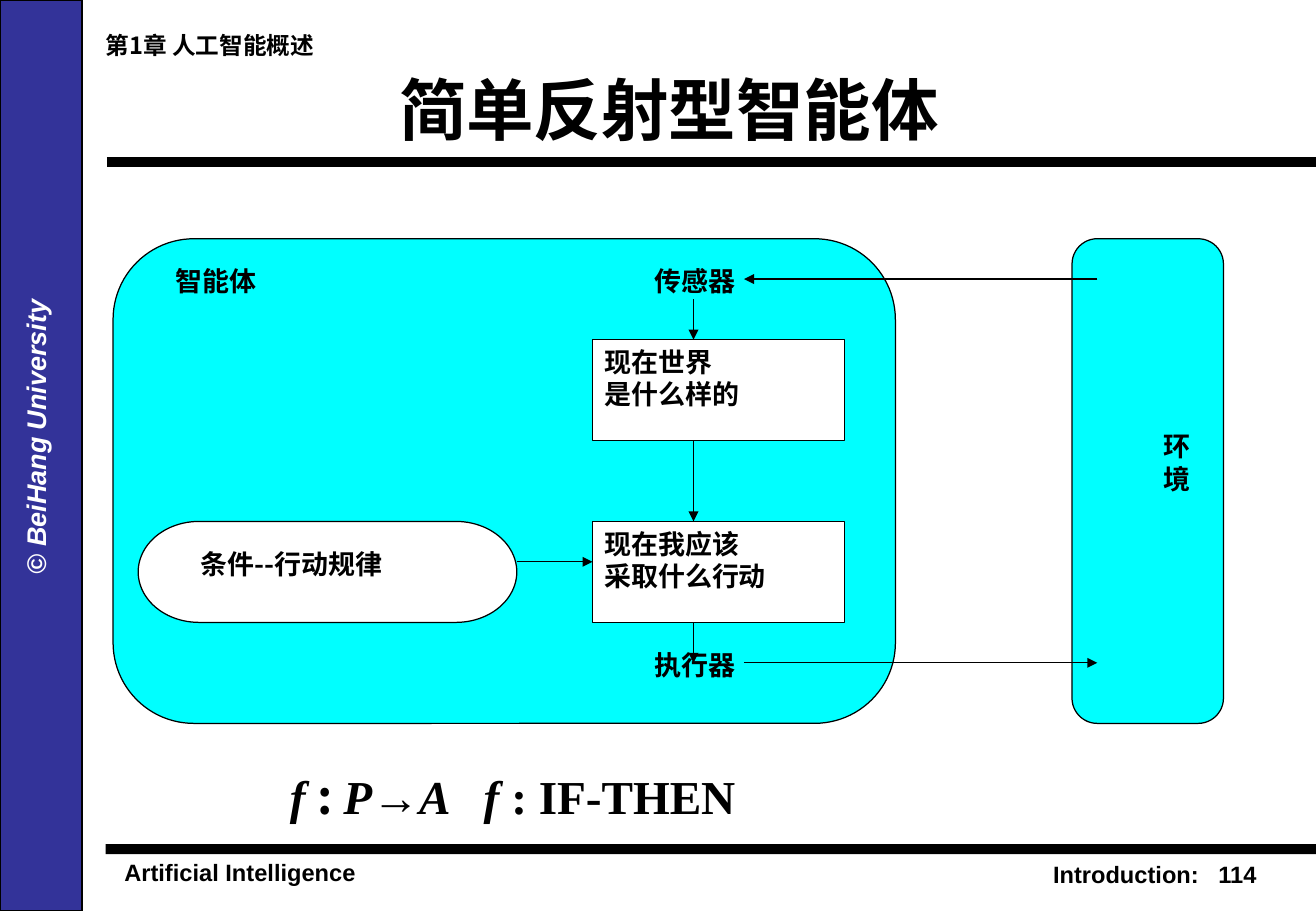
from pptx import Presentation
from pptx.dml.color import RGBColor
from pptx.enum.shapes import MSO_CONNECTOR, MSO_SHAPE
from pptx.enum.text import MSO_ANCHOR, PP_ALIGN
from pptx.oxml.ns import qn
from pptx.util import Pt
from lxml import etree

COLORS = {"ink": "000000", "paper": "FFFFFF", "band": "333399", "panel": "00FFFF"}
SANS, CJK, SERIF = "Arial", "Noto Sans CJK SC", "Times New Roman"
RECTANGLE, ROUNDED = MSO_SHAPE.RECTANGLE, MSO_SHAPE.ROUNDED_RECTANGLE
TERMINATOR, STRAIGHT = MSO_SHAPE.FLOWCHART_TERMINATOR, MSO_CONNECTOR.STRAIGHT
LEFT, CENTER, JUSTIFY = PP_ALIGN.LEFT, PP_ALIGN.CENTER, PP_ALIGN.JUSTIFY
TOP, MIDDLE = MSO_ANCHOR.TOP, MSO_ANCHOR.MIDDLE
COLUMNS, ROWS = 44, 24


def rgb(name):
    return RGBColor.from_string(COLORS[name])


def style_paragraph(paragraph, size, font_name, color="ink", align=LEFT, italic=False):
    paragraph.alignment = align
    font = paragraph.font
    font.size, font.bold, font.italic = Pt(size), True, italic
    font.name = font_name
    font.color.rgb = rgb(color)
    properties = paragraph._p.pPr.find(qn("a:defRPr"))
    etree.SubElement(properties, qn("a:ea")).set("typeface", CJK)


def add_label(slide, box, text, size, font_name, anchor=TOP, wrap=True, tab=None, **style):
    label = slide.shapes.add_textbox(*map(Pt, box))
    frame = label.text_frame
    frame.word_wrap = wrap
    frame.vertical_anchor = anchor
    paragraph = frame.paragraphs[0]
    paragraph.text = text
    if tab:
        stops = etree.SubElement(paragraph._p.get_or_add_pPr(), qn("a:tabLst"))
        etree.SubElement(stops, qn("a:tab"), pos=str(Pt(tab)), algn="l")
    style_paragraph(paragraph, size, font_name, **style)
    return label


def add_box(slide, kind, box, fill, line=None, width=0.75):
    shape = slide.shapes.add_shape(kind, *map(Pt, box))
    shape.shadow.inherit = False
    shape.fill.solid()
    shape.fill.fore_color.rgb = rgb(fill)
    if line:
        shape.line.color.rgb = rgb(line)
        shape.line.width = Pt(width)
    else:
        shape.line.fill.background()
    return shape


def add_line(slide, start, end, width=0.75, arrow=False):
    connector = slide.shapes.add_connector(STRAIGHT, *map(Pt, (*start, *end)))
    connector.line.color.rgb = rgb("ink")
    connector.line.width = Pt(width)
    if arrow:
        etree.SubElement(connector.line._get_or_add_ln(), qn("a:tailEnd"), type="triangle")
    etree.SubElement(connector._element.spPr, qn("a:effectLst"))


def add_side_band(slide, box):
    left, top, width, height = box
    add_box(slide, RECTANGLE, box, "band", "ink", 1)
    length, depth = 517, 27
    label_box = (left + width / 2 - length / 2 - 3, top + height / 2 - depth / 2 - 11, length, depth)
    label = add_label(slide, label_box, "© BeiHang University", 16, SANS,
                      color="paper", align=CENTER, italic=True)
    label.rotation = 270


def add_header(slide, box):
    left, top, width, height = box
    add_line(slide, (left, top + height), (left + width, top + height), 6)
    add_label(slide, (left + 1.5, top + 33, 663, 63), "简单反射型智能体", 40, CJK,
              anchor=MIDDLE, align=CENTER)
    add_label(slide, (left - 63.4, top + 15, 249, 24.5), "第1章 人工智能概述", 14, CJK, align=CENTER)


def add_footer(slide, box):
    left, top, width, height = box
    add_box(slide, RECTANGLE, (left, top, width, 6), "ink")
    add_label(slide, (left + 4, top + 4.5, 156, 24), "Artificial Intelligence", 14, SANS, wrap=False)
    add_label(slide, (left + 554.5, top + 6, 150, 24), "Introduction:\t114", 14, SANS, tab=98)


def add_agent_diagram(slide, box):
    left, top, width, height = box
    column, row = width / COLUMNS, height / ROWS

    def point(x, y):
        return left + x * column, top + y * row

    nodes = [
        (ROUNDED, (0, 0, 31, 24), "panel", "ink", []),
        (ROUNDED, (38, 0, 6, 24), "panel", "ink", []),
        (RECTANGLE, (2, 1, 6, 3), "panel", "panel", ["智能体"]),
        (RECTANGLE, (21, 1, 6, 3), "panel", "panel", ["传感器"]),
        (RECTANGLE, (19, 5, 10, 5), "paper", "ink", ["现在世界", "是什么样的"]),
        (RECTANGLE, (39, 9, 4, 6), "panel", "panel", ["环 境"]),
        (RECTANGLE, (19, 14, 10, 5), "paper", "ink", ["现在我应该", "采取什么行动"]),
        (RECTANGLE, (21, 20, 6, 3), "panel", "panel", ["执行器"]),
        (TERMINATOR, (1, 14, 15, 5), "paper", "ink", []),
        (RECTANGLE, (3, 15, 11, 3), "paper", "paper", ["条件--行动规律"]),
    ]
    for kind, (x, y, across, down), fill, line, texts in nodes:
        shape = add_box(slide, kind, (*point(x, y), across * column, down * row), fill, line)
        if not texts:
            continue
        frame = shape.text_frame
        frame.word_wrap = True
        frame.vertical_anchor = TOP
        frame.text = "\n".join(texts)
        for paragraph in frame.paragraphs:
            font_name = CJK if kind == RECTANGLE and across == 11 else SERIF
            style_paragraph(paragraph, 16, font_name, align=JUSTIFY)
        if down > across:
            frame._txBody.bodyPr.set("vert", "eaVert")

    arrows = [
        ((39, 2), (25, 2)),
        ((23, 3), (23, 5)),
        ((23, 10), (23, 14)),
        ((23, 19), (23, 21)),
        ((25, 21), (39, 21)),
        ((16, 16), (19, 16)),
    ]
    for start, end in arrows:
        add_line(slide, point(*start), point(*end), arrow=True)


def add_formula(slide, box):
    label = add_label(slide, box, "", 28, SERIF, align=CENTER)
    paragraph = label.text_frame.paragraphs[0]
    parts = [("f ", SERIF, True), (": ", "Noto Sans CJK KR", False),
             ("P→A\t f ", SERIF, True), (": IF-THEN", SERIF, False)]
    for text, font_name, italic in parts:
        run = paragraph.add_run()
        run.text = text
        run.font.name = font_name
        run.font.italic = italic


def main():
    presentation = Presentation()
    presentation.slide_width, presentation.slide_height = Pt(780), Pt(540)
    slide = presentation.slides.add_slide(presentation.slide_layouts[6])
    add_footer(slide, (62.6, 500.4, 717.4, 39.6))
    add_side_band(slide, (0, 0, 48.5, 540))
    add_header(slide, (63.4, 0, 716.6, 96.2))
    add_agent_diagram(slide, (67, 141.5, 658.2, 287.3))
    add_formula(slide, (82.8, 451.4, 442, 41))
    presentation.save("out.pptx")


if __name__ == "__main__":
    main()
